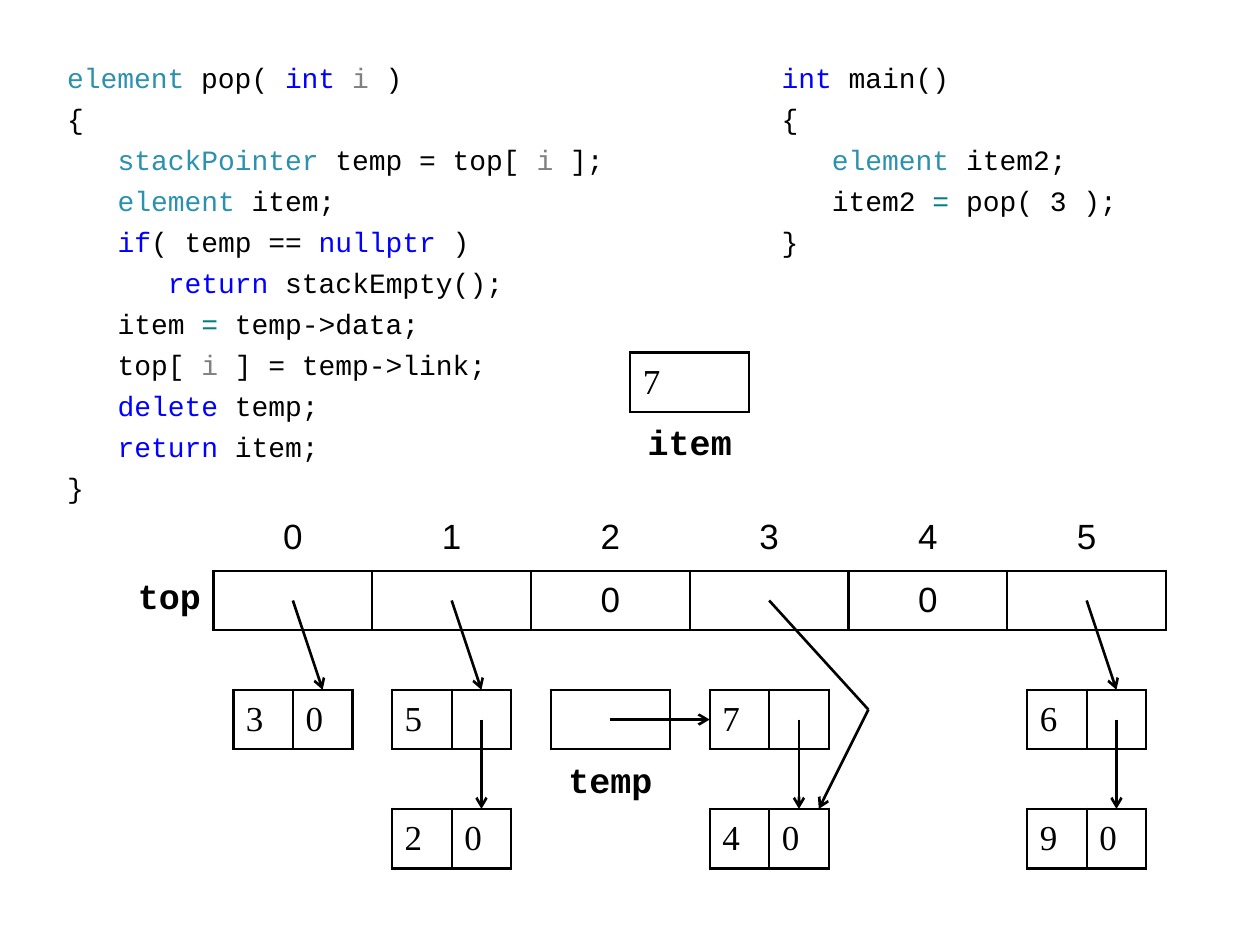
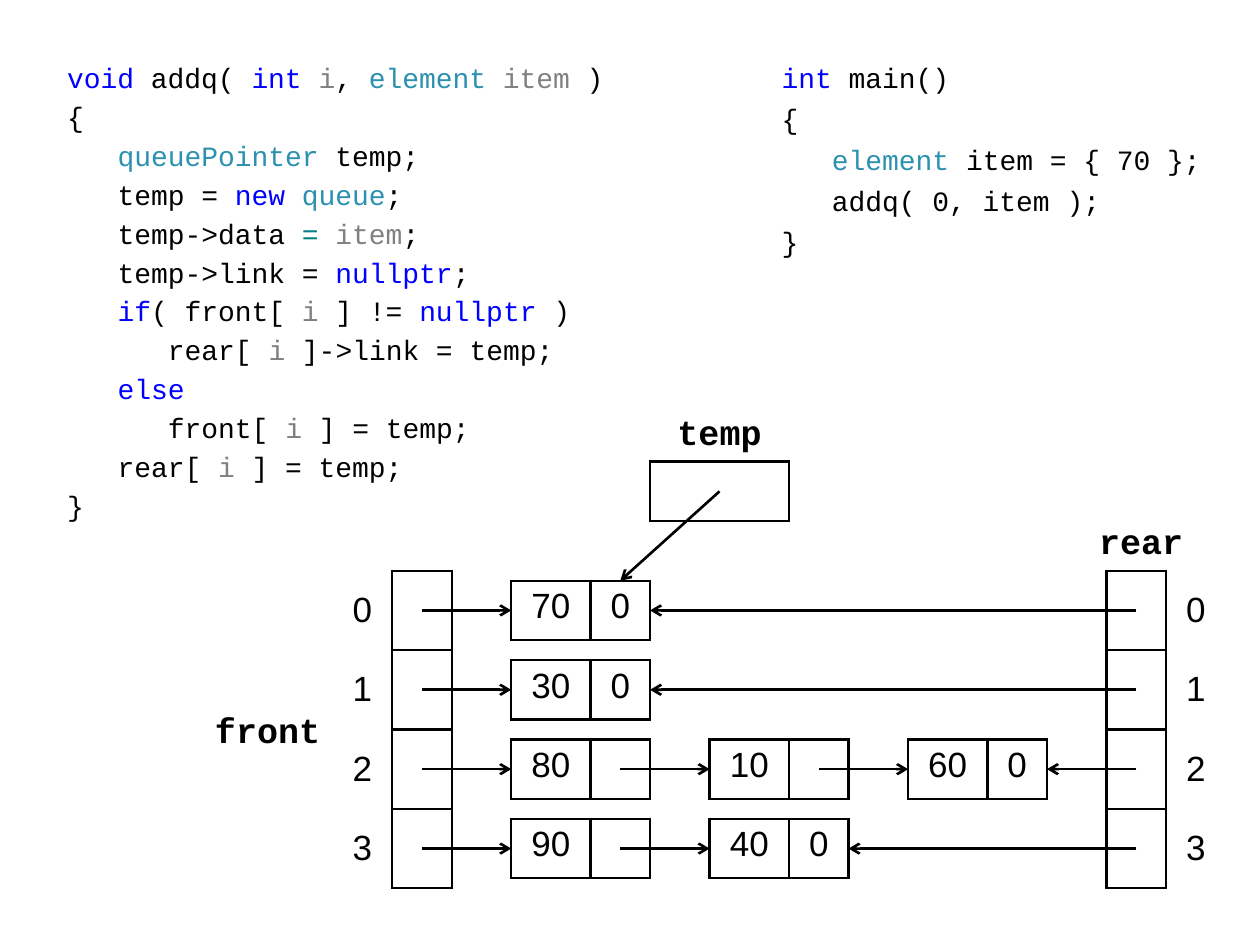
from itertools import groupby

from pptx import Presentation, util as u
from pptx.dml.color import RGBColor
from pptx.enum import shapes, text
from pptx.oxml import ns, xmlchemy as xc

BLACK = RGBColor(0x00, 0x00, 0x00)
BLUE = RGBColor(0x00, 0x00, 0xFF)
TEAL = RGBColor(0x2B, 0x91, 0xAF)
GREEN = RGBColor(0x00, 0x80, 0x80)
GRAY = RGBColor(0x80, 0x80, 0x80)

MONO, SANS, SERIF = "Courier New", "Arial", "Times New Roman"
LEFT, MID, RIGHT = text.PP_ALIGN.LEFT, text.PP_ALIGN.CENTER, text.PP_ALIGN.RIGHT
TOP, CORE = text.MSO_ANCHOR.TOP, text.MSO_ANCHOR.MIDDLE

STEP = 11.34  # side of one drawing grid square
EDGE = 31.3   # left and top margin of the grid
LINE = u.Pt(1.5)
INDENT = 28.8
PLAIN = "{2D5ABB26-0587-4C30-8999-92F81FD0307C}"
SIDES = {"a:lnL": (0, -1), "a:lnR": (0, 1), "a:lnT": (-1, 0), "a:lnB": (1, 0)}

KEYS = {"int", "void", "if", "else", "return", "delete", "new", "nullptr"}
TYPES = {"element", "stackPointer", "queuePointer", "queue"}
COPIES = ("item = ", "item2 = ", "temp->data = ")  # struct assignments

POP = """element pop( int i )
{
   stackPointer temp = top[ i ];
   element item;
   if( temp == nullptr )
      return stackEmpty();
   item = temp->data;
   top[ i ] = temp->link;
   delete temp;
   return item;
}"""
POP_MAIN = """int main()
{
   element item2;
   item2 = pop( 3 );
}"""
ADDQ = """void addq( int i, element item )
{
   queuePointer temp;
   temp = new queue;
   temp->data = item;
   temp->link = nullptr;
   if( front[ i ] != nullptr )
      rear[ i ]->link = temp;
   else
      front[ i ] = temp;
   rear[ i ] = temp;
}"""
ADDQ_MAIN = """int main()
{
   element item = { 70 };
   addq( 0, item );
}"""


def size(n):
    return u.Pt(n * STEP)


def place(n):
    return u.Pt(EDGE + n * STEP)


def style(par, face, points=20, bold=False, align=LEFT):
    par.alignment = align
    par.font.name = face
    par.font.size = u.Pt(points)
    par.font.bold = bold
    par.font.color.rgb = BLACK


def box(slide, x, y, wide, high):
    frame = slide.shapes.add_textbox(place(x), place(y), size(wide), size(high)).text_frame
    frame.word_wrap = True
    return frame


def code(slide, x, wide, high, source, params=(), gap=4.2):
    """Write source with its syntax colours; params are shown in gray."""
    frame = box(slide, x, 0, wide, high)
    for n, row in enumerate(source.split("\n")):
        par = frame.paragraphs[0] if n == 0 else frame.add_paragraph()
        line = row.lstrip()
        style(par, MONO, 16)
        par.space_before = u.Pt(gap)
        depth = (len(row) - len(line)) // 3
        par._p.get_or_add_pPr().set("marL", str(u.Pt(INDENT * depth)))

        def hue(part):
            if part in KEYS:
                return BLUE
            if part in TYPES:
                return TEAL
            if part in params:
                return GRAY
            if part == " = " and line.startswith(COPIES):
                return GREEN
            return BLACK

        parts = ["".join(g) for _, g in groupby(line, str.isalnum)]
        for color, group in groupby(parts, hue):
            run = par.add_run()
            run.text = "".join(group)
            run.font.color.rgb = color


def label(slide, x, y, wide, words, align=MID):
    frame = box(slide, x, y, wide, 3)
    frame.vertical_anchor = CORE
    frame.text = words
    style(frame.paragraphs[0], MONO, bold=True, align=align)


def border(cell, tag):
    line = xc.OxmlElement(tag)
    line.set("w", str(LINE))
    fill = xc.OxmlElement("a:solidFill")
    color = xc.OxmlElement("a:srgbClr")
    color.set("val", str(BLACK))
    fill.append(color)
    line.append(fill)
    cell._tc.get_or_add_tcPr().append(line)


def grid(slide, x, y, cols, high, rows, face=SANS, align=MID, anchor=CORE,
         bare=lambda r, c: False):
    """Add a table; cells for which bare(row, column) holds have no box."""
    frame = slide.shapes.add_table(len(rows), len(cols), place(x), place(y),
                                   size(sum(cols)), size(high * len(rows)))
    table = frame.table
    table.first_row = table.horz_banding = False
    table._tbl.tblPr.find(ns.qn("a:tableStyleId")).text = PLAIN
    for col, wide in zip(table.columns, cols):
        col.width = size(wide)

    def boxed(r, c):
        return 0 <= r < len(rows) and 0 <= c < len(cols) and not bare(r, c)

    for r, row in enumerate(rows):
        table.rows[r].height = size(high)
        for c, words in enumerate(row):
            cell = table.cell(r, c)
            cell.text = words
            cell.vertical_anchor = anchor
            style(cell.text_frame.paragraphs[0], face, align=align)
            for tag, (down, over) in SIDES.items():
                if boxed(r, c) or boxed(r + down, c + over):
                    border(cell, tag)
            cell.fill.background()
    return table


def line(slide, x1, y1, x2, y2, head=True):
    link = slide.shapes.add_connector(shapes.MSO_CONNECTOR.STRAIGHT, place(x1),
                                      place(y1), place(x2), place(y2))
    link.line.color.rgb = BLACK
    link.line.width = LINE
    if head:
        tip = xc.OxmlElement("a:tailEnd")
        tip.set("type", "arrow")
        link.line._get_or_add_ln().append(tip)
    link._element.spPr.append(xc.OxmlElement("a:effectLst"))


def stack(slide, x, y, *nodes):
    """Draw data/link nodes downwards, with a free row between them."""
    rows = []
    for node in nodes:
        rows += [("", "")] * bool(rows) + [node]
    grid(slide, x, y, [3, 3], 3, rows, SERIF, LEFT, bare=lambda r, c: r % 2 == 1)


def queue(slide, n, values):
    """Draw queue n as a row of linked nodes between front and rear."""
    count, y = len(values), 28 + 4 * n
    cells = []
    for value in values:
        cells += [""] * 2 * bool(cells) + [value]
    cols = [4, 3] + [3, 4, 3] * (count - 1)
    grid(slide, 23, y - 1.5, cols, 3, [cells + ["0"]], anchor=TOP,
         bare=lambda r, c: c % 3 == 2)
    line(slide, 18.5, y, 23, y)
    for k in range(count - 1):
        line(slide, 28.5 + 10 * k, y, 33 + 10 * k, y)
    line(slide, 54.5, y, 20 + 10 * count, y)


def pop_slide(slide):
    code(slide, 0, 29, 23, POP, {"i"})
    code(slide, 36, 23, 11, POP_MAIN)

    slots = ["top", "", "", "0", "", "0", ""]
    index = [""] + [str(n) for n in range(6)]
    table = grid(slide, 0, 23, [8] * 7, 3, [index, slots],
                 bare=lambda r, c: r == 0 or c == 0)
    for cell in table.rows[0].cells:
        cell.vertical_anchor = TOP
    style(table.cell(1, 0).text_frame.paragraphs[0], MONO, bold=True, align=RIGHT)

    stack(slide, 9, 32, ("3", "0"))
    stack(slide, 17, 32, ("5", ""), ("2", "0"))
    stack(slide, 33, 32, ("7", ""))
    stack(slide, 33, 38, ("4", "0"))
    stack(slide, 49, 32, ("6", ""), ("9", "0"))
    for n in (0, 1, 5):
        line(slide, 12 + 8 * n, 27.5, 13.5 + 8 * n, 32)
    for x in (21.5, 37.5, 53.5):
        line(slide, x, 33.5, x, 38)
    line(slide, 36, 27.5, 41, 33, head=False)
    line(slide, 41, 33, 38.5, 38)

    for x, y, name, value in ((25, 32, "temp", ""), (29, 15, "item", "7")):
        grid(slide, x, y, [6], 3, [[value]], SERIF, LEFT)
        label(slide, x, y + 3, 6, name)
    line(slide, 28, 33.5, 33, 33.5)


def addq_slide(slide):
    code(slide, 0, 29, 23, ADDQ, {"i", "item"}, gap=3)
    code(slide, 36, 23, 11, ADDQ_MAIN)

    index = [str(n) for n in range(4)]
    grid(slide, 14, 26, [3, 3], 4, [(n, "") for n in index], bare=lambda r, c: c == 0)
    grid(slide, 53, 26, [3, 3], 4, [("", n) for n in index], bare=lambda r, c: c == 1)
    label(slide, 7, 32.5, 7, "front", RIGHT)
    label(slide, 52, 23, 6, "rear", LEFT)

    for n, values in enumerate((["70"], ["30"], ["80", "10", "60"], ["90", "40"])):
        queue(slide, n, values)

    grid(slide, 30, 20.5, [7], 3, [[""]])
    label(slide, 30, 17.5, 7, "temp")
    line(slide, 33.5, 22, 28.5, 26.5)


def main():
    deck = Presentation()
    deck.slide_width, deck.slide_height = u.Pt(720), u.Pt(540)
    for draw in (pop_slide, addq_slide):
        draw(deck.slides.add_slide(deck.slide_layouts[6]))
    deck.save("out.pptx")


if __name__ == "__main__":
    main()
